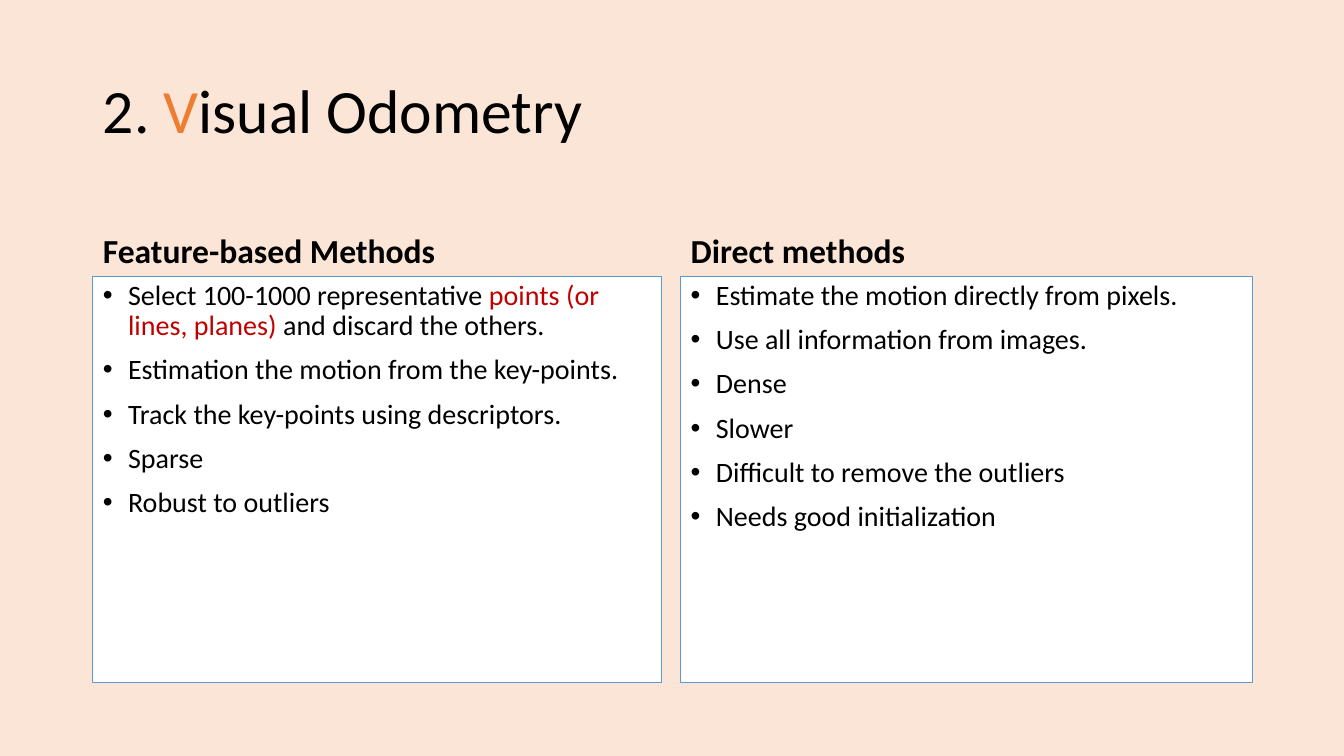
from lxml import etree
from pptx import Presentation
from pptx.dml.color import RGBColor
from pptx.enum.text import MSO_ANCHOR, MSO_AUTO_SIZE, PP_ALIGN
from pptx.oxml.ns import qn
from pptx.util import Inches, Pt

LEFT = PP_ALIGN.LEFT
TOP, MIDDLE, BOTTOM = MSO_ANCHOR.TOP, MSO_ANCHOR.MIDDLE, MSO_ANCHOR.BOTTOM
NO_AUTOFIT = MSO_AUTO_SIZE.NONE

PEACH = RGBColor(0xFB, 0xE5, 0xD6)
BLACK = RGBColor(0, 0, 0)
WHITE = RGBColor(0xFF, 0xFF, 0xFF)
ORANGE = RGBColor(0xED, 0x7D, 0x31)
RED = RGBColor(0xC0, 0, 0)
BLUE = RGBColor(0x5B, 0x9B, 0xD5)

FONT = "Calibri"
COMPARISON_LAYOUT = 3 + 1
HEADING_HEIGHT = 0.9
BULLET_INDENT = 0.25

TITLE = [("2. ", BLACK), ("V", ORANGE), ("isual Odometry", BLACK)]
FEATURE_POINTS = [
    [("Select 100-1000 representative ", BLACK),
     ("points (or lines, planes)", RED),
     (" and discard the others.", BLACK)],
    [("Estimation the motion from the key-points.", BLACK)],
    [("Track the key-points using descriptors.", BLACK)],
    [("Sparse", BLACK)],
    [("Robust to outliers", BLACK)],
]
DIRECT_POINTS = [
    [("Estimate the motion directly from pixels.", BLACK)],
    [("Use all information from images.", BLACK)],
    [("Dense", BLACK)],
    [("Slower", BLACK)],
    [("Difficult to remove the outliers", BLACK)],
    [("Needs good initialization", BLACK)],
]


def place(placeholder, left, top, width, height):
    placeholder.left, placeholder.top = Inches(left), Inches(top)
    placeholder.width, placeholder.height = Inches(width), Inches(height)


def add_bullet(paragraph):
    properties = paragraph._p.get_or_add_pPr()
    properties.set("marL", str(Inches(BULLET_INDENT)))
    properties.set("indent", str(-Inches(BULLET_INDENT)))
    etree.SubElement(properties, qn("a:buFont")).set("typeface", "Arial")
    etree.SubElement(properties, qn("a:buChar")).set("char", "•")


def write(placeholder, lines, size, anchor, bold=False, bulleted=False):
    frame = placeholder.text_frame
    frame.word_wrap = True
    frame.auto_size = NO_AUTOFIT
    frame.vertical_anchor = anchor
    for number, line in enumerate(lines):
        paragraph = frame.add_paragraph() if number else frame.paragraphs[0]
        if bulleted:
            add_bullet(paragraph)
        paragraph.alignment = LEFT
        paragraph.line_spacing = 0.9
        paragraph.space_before = Pt(10 if number else 0)
        for text, color in line:
            run = paragraph.add_run()
            run.text = text
            run.font.name = FONT
            run.font.size = Pt(size)
            run.font.bold = bold
            run.font.color.rgb = color


def build_title(title, left, top, width, height):
    place(title, left, top, width, height)
    write(title, [TITLE], 44, MIDDLE)


def build_method(heading, points, name, lines, left, top, width, height):
    # Heading above the panel
    place(heading, left, top, width, HEADING_HEIGHT)
    write(heading, [[(name, BLACK)]], 24, BOTTOM, bold=True)

    # White panel with bullets
    place(points, left, top + HEADING_HEIGHT, width, height - HEADING_HEIGHT)
    points.fill.solid()
    points.fill.fore_color.rgb = WHITE
    points.line.color.rgb = BLUE
    points.line.width = Pt(1)
    write(points, lines, 20, TOP, bulleted=True)


def main():
    presentation = Presentation()
    presentation.slide_width = Inches(13.33)
    presentation.slide_height = Inches(7.5)
    slide = presentation.slides.add_slide(
        presentation.slide_layouts[COMPARISON_LAYOUT])
    slide.background.fill.solid()
    slide.background.fill.fore_color.rgb = PEACH

    title, feature_heading, feature_points, direct_heading, direct_points = (
        slide.placeholders)
    build_title(title, 0.92, 0.4, 11.5, 1.45)
    build_method(feature_heading, feature_points, "Feature-based Methods",
                 FEATURE_POINTS, 0.92, 1.84, 5.64, 4.93)
    build_method(direct_heading, direct_points, "Direct methods",
                 DIRECT_POINTS, 6.75, 1.84, 5.67, 4.93)
    presentation.save("out.pptx")


if __name__ == "__main__":
    main()
